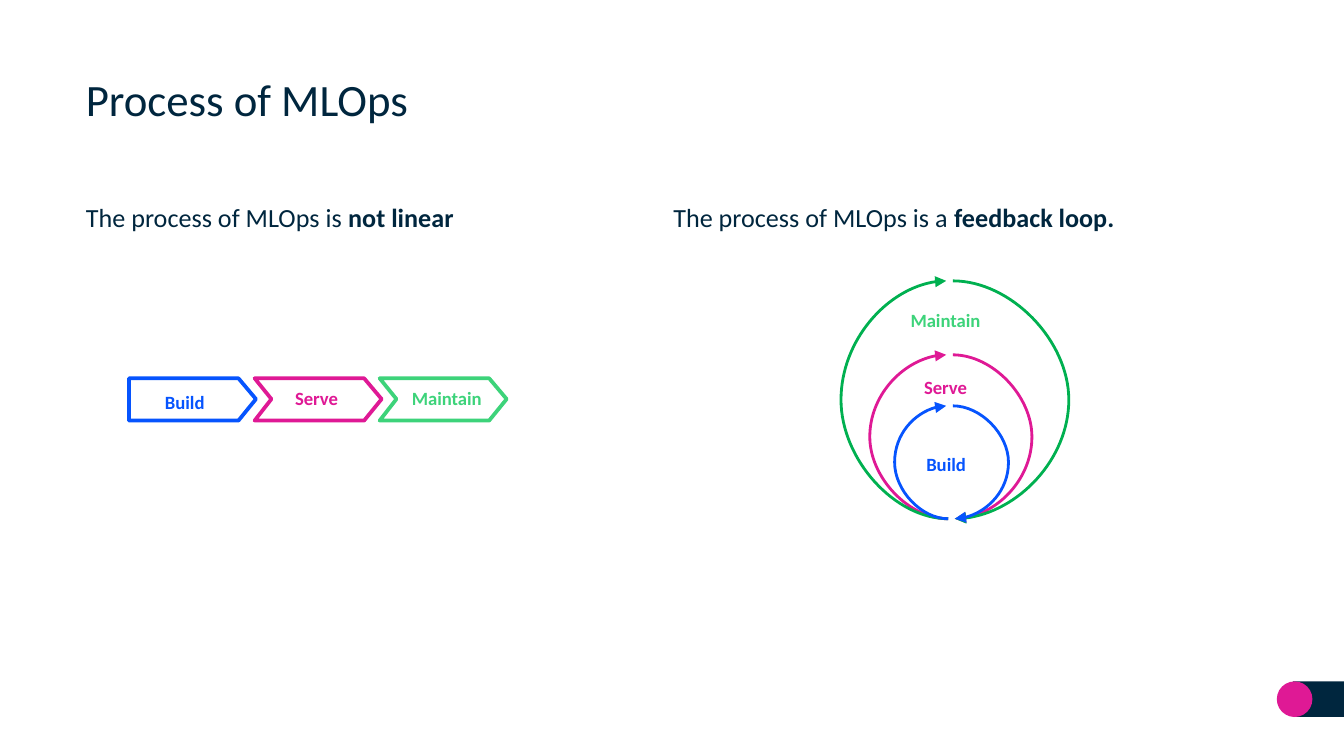
from dataclasses import dataclass

from lxml import etree
from pptx import Presentation
from pptx.dml.color import RGBColor
from pptx.enum.shapes import MSO_CONNECTOR, MSO_SHAPE
from pptx.enum.text import MSO_ANCHOR, MSO_AUTO_SIZE, PP_ALIGN
from pptx.oxml.ns import qn
from pptx.shapes.connector import Connector
from pptx.slide import Slide
from pptx.util import Emu, Pt

PX = 4572  # 200 px to the inch
WIDTH, HEIGHT = 2000, 1125

NAVY = RGBColor(0x00, 0x26, 0x3E)
BLUE = RGBColor(0x06, 0x54, 0xFE)
PINK = RGBColor(0xDF, 0x19, 0x95)
MINT = RGBColor(0x3D, 0xD3, 0x7A)
GREEN = RGBColor(0x00, 0xB0, 0x50)

CURVE = MSO_CONNECTOR.CURVE
RECTANGLE, OVAL = MSO_SHAPE.RECTANGLE, MSO_SHAPE.OVAL
TOP, MIDDLE = MSO_ANCHOR.TOP, MSO_ANCHOR.MIDDLE
LEFT, CENTER = PP_ALIGN.LEFT, PP_ALIGN.CENTER
FIT_SHAPE = MSO_AUTO_SIZE.SHAPE_TO_FIT_TEXT


@dataclass(frozen=True)
class Caption:
    left: int
    top: int
    width: int
    height: int
    text: str
    size: int = 10
    color: RGBColor = NAVY
    bold: bool = False
    ending: str = ""  # bold words that close the line
    align: PP_ALIGN = CENTER


@dataclass(frozen=True)
class Step:
    left: int
    notch: int
    color: RGBColor


@dataclass(frozen=True)
class Loop:
    top: int
    left_reach: int
    right_reach: int
    color: RGBColor


TITLE = Caption(108, 92, 1790, 110, "Process of MLOps", 24, align=LEFT)
STATEMENTS = (
    Caption(126, 291, 714, 58, "The process of MLOps is ", 14, ending="not linear", align=LEFT),
    Caption(1000, 291, 898, 58, "The process of MLOps is a ", 14, ending="feedback loop.", align=LEFT),
)

STEP_TOP, STEP_WIDTH, STEP_HEIGHT, STEP_TIP = 563, 189, 63, 26
STEPS = (Step(192, 0, BLUE), Step(379, 25, PINK), Step(565, 25, MINT))
STEP_LABELS = (
    Caption(229, 574, 92, 42, "Build", color=BLUE, bold=True),
    Caption(424, 569, 94, 42, "Serve", color=PINK, bold=True),
    Caption(592, 569, 146, 42, "Maintain", color=MINT, bold=True),
)

LOOP_BOTTOM, ARC_SPAN = 772, 3
LEFT_ARC, RIGHT_ARC = 1408, 1418
LOOPS = (
    Loop(528, 1294, 1536, PINK),
    Loop(418, 1251, 1591, GREEN),
    Loop(604, 1331, 1501, BLUE),
)
LOOP_LABELS = (
    Caption(1362, 667, 92, 42, "Build", color=BLUE, bold=True),
    Caption(1360, 552, 94, 42, "Serve", color=PINK, bold=True),
    Caption(1334, 453, 146, 42, "Maintain", color=MINT, bold=True),
)


def px(length: int) -> Emu:
    return Emu(length * PX)


def add_caption(slide: Slide, caption: Caption, inset: int = 2,
                anchor: MSO_ANCHOR = TOP, spacing: float = 1.15) -> None:
    box = slide.shapes.add_textbox(px(caption.left), px(caption.top),
                                   px(caption.width), px(caption.height))
    frame = box.text_frame
    frame.word_wrap = True
    frame.vertical_anchor = anchor
    frame.margin_left = frame.margin_right = px(inset)
    frame.margin_top = frame.margin_bottom = px(inset)
    if anchor == TOP:
        frame.auto_size = FIT_SHAPE
    paragraph = frame.paragraphs[0]
    paragraph.alignment = caption.align
    paragraph.line_spacing = spacing
    paragraph.font.name = "Calibri"
    paragraph.font.size = Pt(caption.size)
    paragraph.font.color.rgb = caption.color
    paragraph.font.bold = caption.bold
    paragraph.add_run().text = caption.text
    if caption.ending:
        ending = paragraph.add_run()
        ending.text = caption.ending
        ending.font.bold = True


def add_step(slide: Slide, step: Step) -> None:
    right, bottom = step.left + STEP_WIDTH, STEP_TOP + STEP_HEIGHT
    middle = STEP_TOP + STEP_HEIGHT // 2
    outline = [(right - STEP_TIP, STEP_TOP), (right, middle),
               (right - STEP_TIP, bottom), (step.left, bottom)]
    if step.notch:
        outline.append((step.left + step.notch, middle))
    builder = slide.shapes.build_freeform(step.left, STEP_TOP, scale=PX)
    builder.add_line_segments(outline, close=True)
    chevron = builder.convert_to_shape()
    chevron.shadow.inherit = False
    chevron.fill.background()
    chevron.line.color.rgb = step.color
    chevron.line.width = Pt(2)
    etree.SubElement(chevron.line._get_or_add_ln(), qn("a:round"))


def add_arc(slide: Slide, left: int, top: int, bulge: int, color: RGBColor) -> Connector:
    """Add a curved arrow that swings out to the right by bulge px."""
    arc = slide.shapes.add_connector(CURVE, px(left), px(top),
                                     px(left + ARC_SPAN), px(LOOP_BOTTOM))
    arc.line.color.rgb = color
    arc.line.width = Pt(1.5)
    etree.SubElement(arc.line._get_or_add_ln(), qn("a:tailEnd"), type="triangle")
    properties = arc._element.spPr
    etree.SubElement(properties, qn("a:effectLst"))
    adjustments = properties.find(qn("a:prstGeom")).get_or_add_avLst()
    etree.SubElement(adjustments, qn("a:gd"), name="adj1",
                     fmla=f"val {bulge * 100000 // ARC_SPAN}")
    return arc


def add_loop(slide: Slide, loop: Loop) -> None:
    left_bulge = LEFT_ARC + ARC_SPAN - loop.left_reach
    rising = add_arc(slide, LEFT_ARC, loop.top, left_bulge, loop.color)
    rising._element.spPr.find(qn("a:xfrm")).set("rot", str(180 * 60000))
    add_arc(slide, RIGHT_ARC, loop.top, loop.right_reach - RIGHT_ARC, loop.color)


def add_solid(slide: Slide, kind: MSO_SHAPE, left: int, top: int,
              width: int, height: int, color: RGBColor) -> None:
    solid = slide.shapes.add_shape(kind, px(left), px(top), px(width), px(height))
    solid.shadow.inherit = False
    solid.fill.solid()
    solid.fill.fore_color.rgb = color
    solid.line.fill.background()


def main() -> None:
    presentation = Presentation()
    presentation.slide_width, presentation.slide_height = px(WIDTH), px(HEIGHT)
    slide = presentation.slides.add_slide(presentation.slide_layouts[6])

    add_solid(slide, RECTANGLE, 1924, 1014, WIDTH - 1924, 53, NAVY)
    add_solid(slide, OVAL, 1900, 1014, 53, 53, PINK)
    add_caption(slide, TITLE, inset=20, anchor=MIDDLE, spacing=1.0)
    for loop in LOOPS:
        add_loop(slide, loop)
    for step in STEPS:
        add_step(slide, step)
    for caption in STATEMENTS + LOOP_LABELS + STEP_LABELS:
        add_caption(slide, caption)

    presentation.save("out.pptx")


if __name__ == "__main__":
    main()
